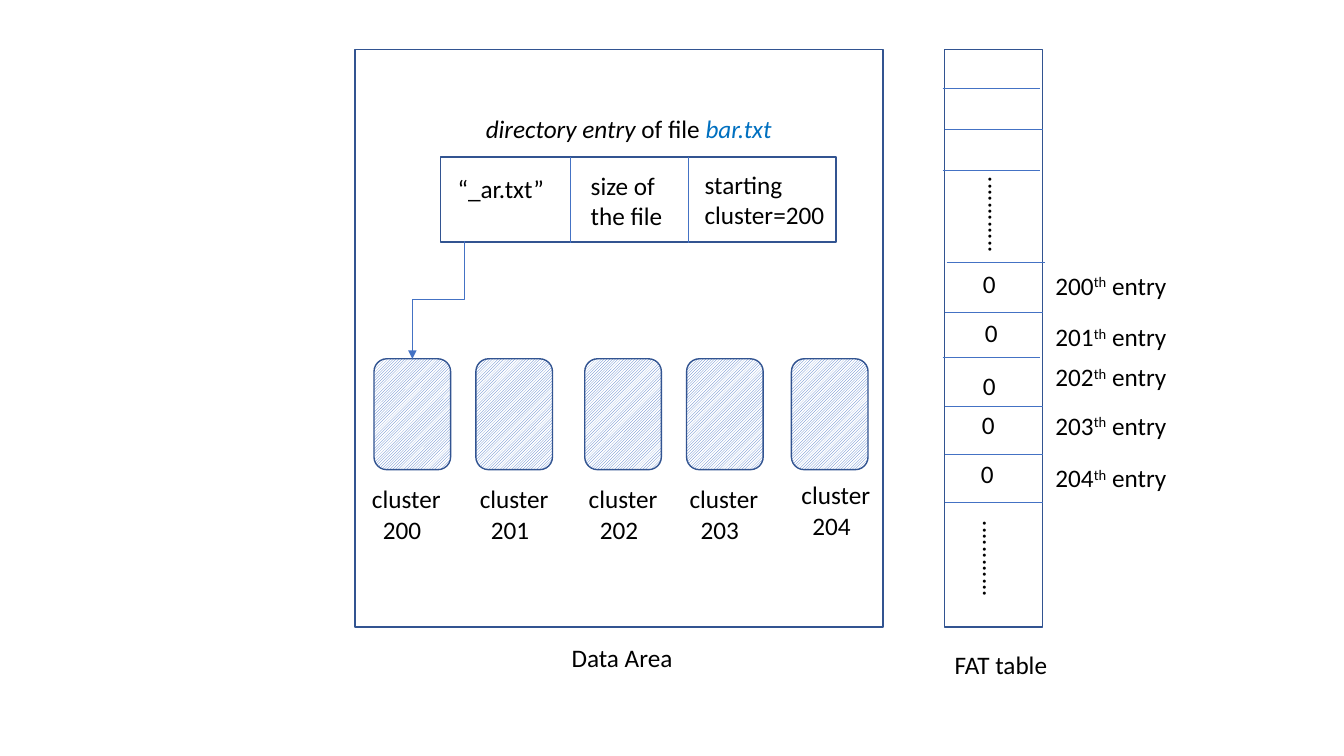
from pptx import Presentation
from pptx.dml.color import RGBColor
from pptx.enum.dml import MSO_PATTERN
from pptx.enum.shapes import MSO_CONNECTOR, MSO_SHAPE
from pptx.oxml.ns import qn
from pptx.util import Inches, Pt
from lxml.etree import SubElement

OUTLINE = RGBColor(0x32, 0x54, 0x91)
ACCENT = RGBColor(0x44, 0x72, 0xC4)
FILE_BLUE = RGBColor(0x00, 0x70, 0xC0)
BLACK = RGBColor(0x00, 0x00, 0x00)
WHITE = RGBColor(0xFF, 0xFF, 0xFF)


def add_run(paragraph, text, font="Calibri", size=18, color=BLACK, italic=False, baseline=0):
    run = paragraph.add_run()
    run.text = text
    run.font.name = font
    run.font.size = Pt(size)
    run.font.color.rgb = color
    run.font.italic = italic
    if baseline:
        run.font._element.set("baseline", str(baseline * 1000))


class Diagram:
    outline_width = Pt(1)
    line_width = Pt(0.5)

    def __init__(self, slide):
        self.slide = slide

    def box(self, left, top, width, height, preset=MSO_SHAPE.RECTANGLE, hatched=False):
        shape = self.slide.shapes.add_shape(
            preset, Inches(left), Inches(top), Inches(width), Inches(height))
        shape.shadow.inherit = False
        shape.line.color.rgb = OUTLINE
        shape.line.width = self.outline_width
        if hatched:
            shape.fill.patterned()
            shape.fill.pattern = MSO_PATTERN.LIGHT_UPWARD_DIAGONAL
            shape.fill.fore_color.rgb = ACCENT
            shape.fill.back_color.rgb = WHITE
        else:
            shape.fill.background()

    def line(self, x1, y1, x2, y2, kind=MSO_CONNECTOR.STRAIGHT):
        connector = self.slide.shapes.add_connector(
            kind, Inches(x1), Inches(y1), Inches(x2), Inches(y2))
        connector.line.color.rgb = ACCENT
        connector.line.width = self.line_width
        SubElement(connector._element.spPr, qn("a:effectLst"))
        return connector

    def elbow_arrow_down(self, x1, y1, x2, y2):
        center_x, center_y = (x1 + x2) / 2, (y1 + y2) / 2
        half_length, half_shift = (y2 - y1) / 2, (x1 - x2) / 2
        connector = self.line(center_x - half_length, center_y - half_shift,
                              center_x + half_length, center_y + half_shift,
                              MSO_CONNECTOR.ELBOW)
        connector._element.spPr.find(qn("a:xfrm")).set("rot", "5400000")
        SubElement(connector.line._get_or_add_ln(), qn("a:tailEnd"), type="triangle")

    def text(self, left, top, width, *paragraphs, height=0.4, rotation=0, last_indent=0):
        shape = self.slide.shapes.add_textbox(
            Inches(left), Inches(top), Inches(width), Inches(height))
        shape.rotation = rotation
        frame = shape.text_frame
        frame.word_wrap = False
        for index, runs in enumerate(paragraphs):
            paragraph = frame.add_paragraph() if index else frame.paragraphs[0]
            for text, style in [(runs, {})] if isinstance(runs, str) else runs:
                add_run(paragraph, text, **style)
        if last_indent:
            paragraph._p.get_or_add_pPr().set("marL", str(Inches(last_indent)))


presentation = Presentation()
presentation.slide_width = Inches(13.33)
presentation.slide_height = Inches(7.5)
diagram = Diagram(presentation.slides.add_slide(presentation.slide_layouts[6]))

diagram.box(3.52, 0.49, 5.24, 5.73)
diagram.text(5.57, 6.32, 1.21, "Data Area")

diagram.text(4.72, 1.08, 3.06, [("directory entry", {"italic": True}), (" of file ", {}),
                                ("bar.txt", {"italic": True, "color": FILE_BLUE})])
diagram.box(4.37, 1.56, 3.92, 0.84)
for divider_x in (5.66, 6.83):
    diagram.line(divider_x, 1.56, divider_x, 2.41)
diagram.text(4.44, 1.67, 1.07, "“_ar.txt”")
diagram.text(5.76, 1.64, 0.92, "size of", "the file", height=0.71)
diagram.text(6.89, 1.63, 1.4, "starting", "cluster=200", height=0.71)

CLUSTERS = [(3.71, 3.59, 4.75), (4.72, 4.66, 4.75), (5.8, 5.74, 4.75),
            (6.81, 6.74, 4.75), (7.85, 7.85, 4.71)]
for number, (cluster_x, label_x, label_y) in enumerate(CLUSTERS, 200):
    diagram.box(cluster_x, 3.56, 0.76, 1.1, MSO_SHAPE.ROUNDED_RECTANGLE, hatched=True)
    diagram.text(label_x, label_y, 0.89, "cluster", str(number), height=0.71, last_indent=0.11)
diagram.elbow_arrow_down(4.61, 2.39, 4.09, 3.56)

diagram.box(9.37, 0.49, 0.97, 5.73)
diagram.text(9.37, 6.39, 1.13, "FAT table")
ROW_LINES = [(9.35, 0.88), (9.37, 1.28), (9.35, 1.69), (9.39, 2.6), (9.37, 3.1),
             (9.35, 3.55), (9.37, 4.03), (9.37, 4.51), (9.37, 4.98)]
for row_x, row_y in ROW_LINES:
    diagram.line(row_x, row_y, row_x + 0.97, row_y)
for dots_x, dots_y, dots_width in ((9.4, 1.96, 1.01), (9.37, 5.35, 0.96)):
    diagram.text(dots_x, dots_y, dots_width, "." * 12, rotation=90)

FAT_ENTRIES = [(9.65, 2.61, 2.63), (9.67, 3.1, 3.14), (9.65, 3.62, 3.54),
               (9.64, 4.01, 4.02), (9.63, 4.5, 4.54)]
for number, (value_x, value_y, label_y) in enumerate(FAT_ENTRIES, 200):
    diagram.text(value_x, value_y, 0.33, "0")
    diagram.text(10.37, label_y, 1.33,
                 [(str(number), {}), ("th", {"baseline": 30}), (" entry", {})])

presentation.save("out.pptx")
